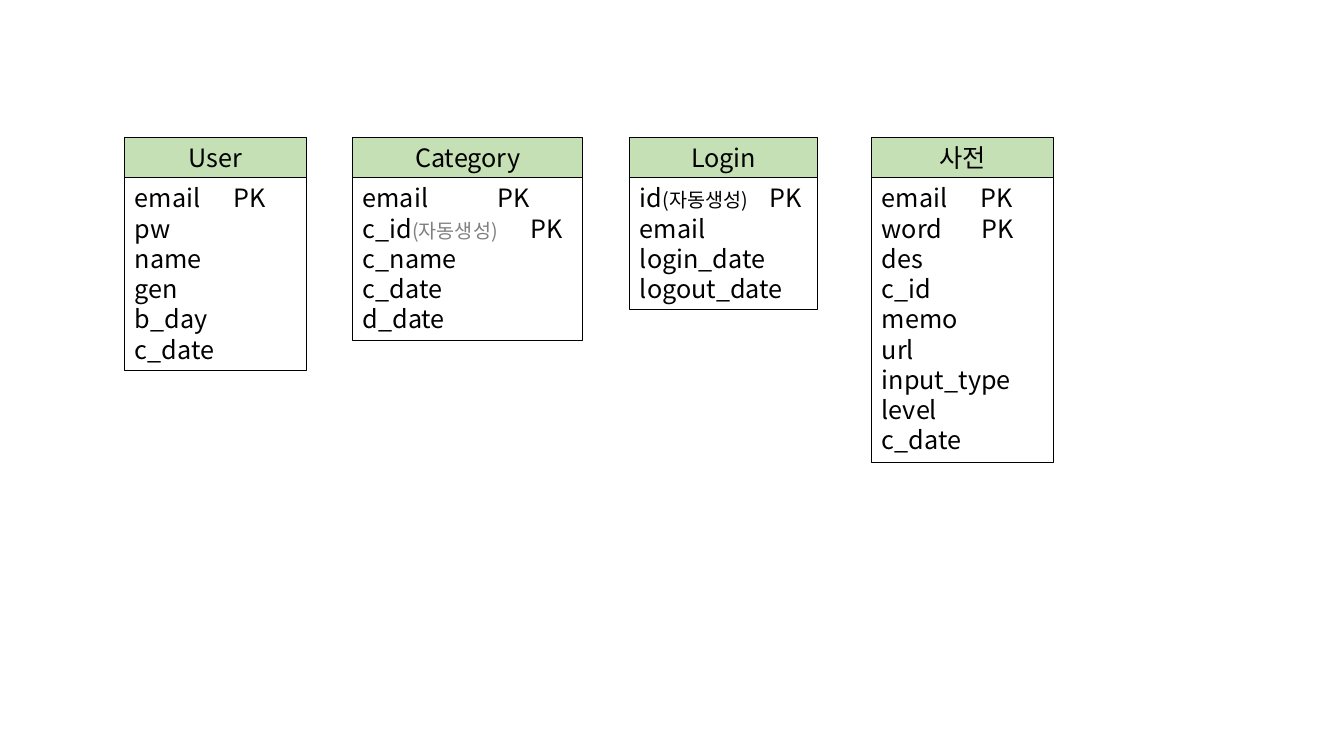
from dataclasses import dataclass

from lxml.etree import SubElement
from pptx import Presentation
from pptx.dml.color import RGBColor as Rgb
from pptx.enum.text import MSO_AUTO_SIZE as Fit, PP_ALIGN as Align
from pptx.oxml import parse_xml
from pptx.oxml.ns import nsdecls, qn
from pptx.util import Pt


@dataclass(frozen=True)
class Theme:
    """Colours, font and sizes in points."""
    font: str = "Noto Sans CJK KR"
    ink: Rgb = Rgb(0, 0, 0)
    gray: Rgb = Rgb(0x80, 0x80, 0x80)
    green: Rgb = Rgb(0xC5, 0xE0, 0xB4)
    body: float = 18
    small: float = 14
    rule: float = 0.75
    head: float = 29
    row: float = 21.8
    pad: float = 3.6


THEME = Theme()
TOP = 98
AUTO = "(자동생성)"

# Each entity has a left edge, width, name and rows of (field, note, note colour, key tab).
ENTITIES = [
    (89.3, 129.6, "User", [
        ("email", "", None, 70.7), "pw", "name", "gen", "b_day", "c_date"]),
    (252, 164.2, "Category", [
        ("email", "", None, 96.3), ("c_id", AUTO, THEME.gray, 120),
        "c_name", "c_date", "d_date"]),
    (450, 133.9, "Login", [
        ("id", AUTO, THEME.ink, 92.8), "email", "login_date", "logout_date"]),
    (622.8, 129.6, "사전", [
        ("email", "", None, 70.7), ("word", "", None, 71.4), "des", "c_id",
        "memo", "url", "input_type", "level", "c_date"]),
]


def add_box(slide, left, top, width, height):
    """Add an outlined text box and return it."""
    box = slide.shapes.add_textbox(Pt(left), Pt(top), Pt(width), Pt(height))
    box.line.color.rgb = THEME.ink
    box.line.width = Pt(THEME.rule)
    frame = box.text_frame
    frame.word_wrap = True
    frame.auto_size = Fit.SHAPE_TO_FIT_TEXT
    return box


def set_font(para):
    """Give a paragraph the theme font for Latin and Korean text."""
    font = para.font
    font.size = Pt(THEME.body)
    font.color.rgb = THEME.ink
    font.name = THEME.font
    props = para._p.get_or_add_pPr().find(qn("a:defRPr"))
    SubElement(props, qn("a:ea"), typeface=THEME.font)


def add_run(para, text):
    """Add a run with the theme font for Korean text."""
    run = para.add_run()
    run.text = text
    run.font.name = THEME.font
    SubElement(run._r.get_or_add_rPr(), qn("a:ea"), typeface=THEME.font)
    return run


def set_tab(para, stop):
    """Place one left tab stop in a paragraph."""
    tabs = parse_xml(f'<a:tabLst {nsdecls("a")}><a:tab pos="{Pt(stop)}" algn="l"/></a:tabLst>')
    para._p.get_or_add_pPr().insert(0, tabs)


def fill_row(para, row):
    """Write a field with its optional note and primary key mark."""
    set_font(para)
    if isinstance(row, str):
        add_run(para, row)
        return
    field, note, color, stop = row
    add_run(para, field)
    if note:
        run = add_run(para, note)
        run.font.size = Pt(THEME.small)
        run.font.color.rgb = color
    add_run(para, "\tPK")
    set_tab(para, stop)


def add_entity(slide, left, top, width, name, rows):
    """Draw one entity as a green header above its field list."""
    head = add_box(slide, left, top, width, THEME.head)
    head.fill.solid()
    head.fill.fore_color.rgb = THEME.green
    title = head.text_frame.paragraphs[0]
    title.alignment = Align.CENTER
    set_font(title)
    add_run(title, name)
    height = 2 * THEME.pad + THEME.row * len(rows)
    frame = add_box(slide, left, top + THEME.head, width, height).text_frame
    for index, row in enumerate(rows):
        fill_row(frame.add_paragraph() if index else frame.paragraphs[0], row)


def main():
    """Build the slide of entities and save it."""
    deck = Presentation()
    deck.slide_width, deck.slide_height = Pt(960), Pt(540)
    slide = deck.slides.add_slide(deck.slide_layouts[6])
    for left, width, name, rows in ENTITIES:
        add_entity(slide, left, TOP, width, name, rows)
    deck.save("out.pptx")


if __name__ == "__main__":
    main()
